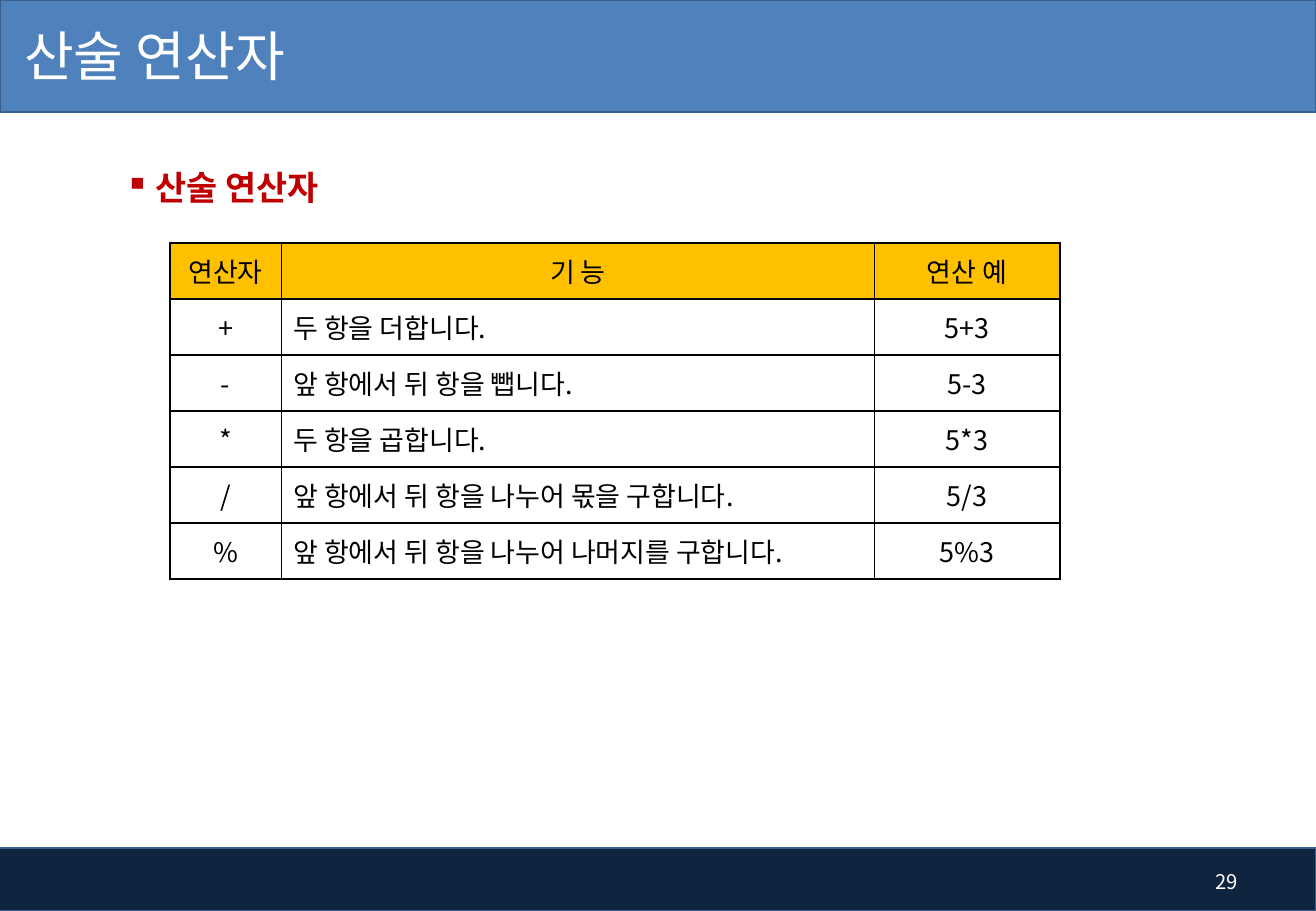
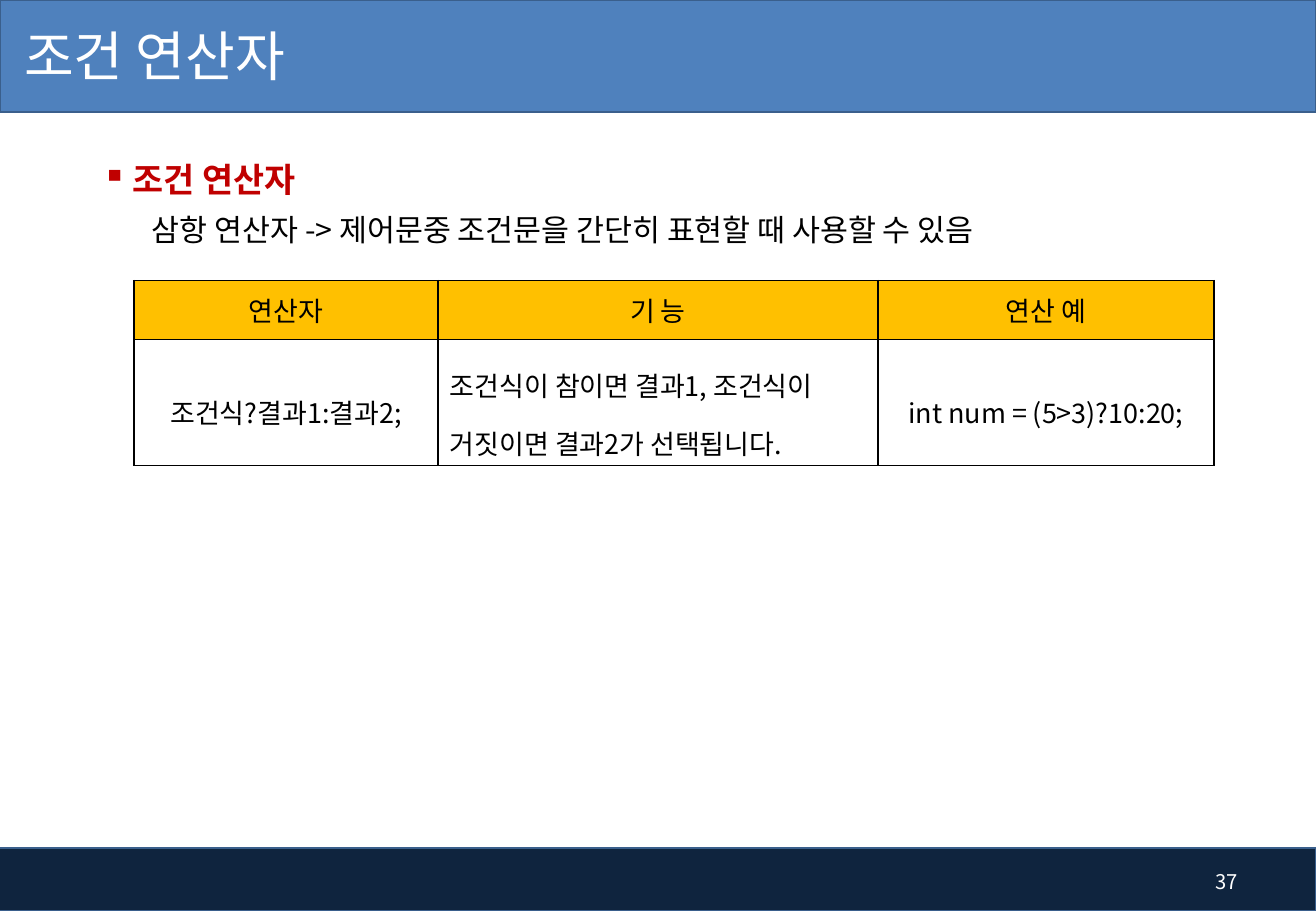
import pptx
import pptx.util
import pptx.dml.color
import pptx.enum.shapes
import pptx.enum.text
import pptx.oxml
import pptx.oxml.ns
from dataclasses import dataclass
from lxml import etree

Pt = pptx.util.Pt
qn = pptx.oxml.ns.qn
ALIGN = pptx.enum.text.PP_ALIGN
MIDDLE = pptx.enum.text.MSO_ANCHOR.MIDDLE
TOP = pptx.enum.text.MSO_ANCHOR.TOP


@dataclass(frozen=True)
class Theme:
    font: str = "Noto Sans CJK KR"
    title_band: str = "4F81BD"
    footer_band: str = "0F243E"
    band_line: str = "3A5F8C"
    light: str = "FFFFFF"
    ink: str = "000000"
    accent: str = "C00000"
    header: str = "FFC000"
    title_size: float = 32
    heading_size: float = 20
    note_size: float = 18
    table_size: float = 16
    number_size: float = 12


T = Theme()
SLIDE_W, SLIDE_H = 780, 540

# Content: boxes are (left, top, width, height) in points
BANDS = [((-3, 502.5, 783, 37.5), T.footer_band), ((0, 0, SLIDE_W, 66.5), T.title_band)]
TITLE_BOX = (0, -1.5, 488, 68)
NUMBER_BOX = (697, 508, 44, 29)
HEADER = ("연산자", "기 능", "연산 예")
COLUMN_ALIGN = (ALIGN.CENTER, ALIGN.LEFT, ALIGN.CENTER)

SLIDES = [
    dict(
        title="산술 연산자", number="29", heading_box=(67, 98, 188, 29),
        table_at=(100.75, 144), cols=(66, 351.5, 110), row_heights=(33.2,) * 6, spacing=1.0,
        rows=[
            ("+", "두 항을 더합니다.", "5+3"),
            ("-", "앞 항에서 뒤 항을 뺍니다.", "5-3"),
            ("*", "두 항을 곱합니다.", "5*3"),
            ("/", "앞 항에서 뒤 항을 나누어 몫을 구합니다.", "5/3"),
            ("%", "앞 항에서 뒤 항을 나누어 나머지를 구합니다.", "5%3"),
        ],
    ),
    dict(
        title="조건 연산자", number="37", heading_box=(53.5, 93, 598, 34.5),
        note="삼항 연산자 -> 제어문중 조건문을 간단히 표현할 때 사용할 수 있음",
        note_box=(42.5, 121.7, 631, 29),
        table_at=(79.5, 166.3), cols=(180, 261, 199), row_heights=(35, 74.5), spacing=1.5,
        rows=[
            ("조건식?결과1:결과2;",
             "조건식이 참이면 결과1, 조건식이 거짓이면 결과2가 선택됩니다.",
             "int num = (5>3)?10:20;"),
        ],
    ),
]


def rgb(value):
    return pptx.dml.color.RGBColor.from_string(value)


def write(tf, text, size, color=T.ink, bold=False, align=ALIGN.LEFT, spacing=1.0, bullet=None):
    p = tf.paragraphs[0]
    if bullet:
        pPr = p._p.get_or_add_pPr()
        pPr.set("marL", str(Pt(18)))
        pPr.set("indent", str(-Pt(18)))
        etree.SubElement(pPr, qn("a:buChar")).set("char", bullet)
    p.alignment = align
    p.line_spacing = spacing
    r = p.add_run()
    r.text = text
    r.font.size, r.font.bold, r.font.name = Pt(size), bold, T.font
    r.font.color.rgb = rgb(color)
    etree.SubElement(r._r.get_or_add_rPr(), qn("a:ea")).set("typeface", T.font)


def add_text(slide, box, text, size, anchor=TOP, inset=7.2, **fmt):
    tf = slide.shapes.add_textbox(*map(Pt, box)).text_frame
    tf.word_wrap = True
    tf.vertical_anchor = anchor
    tf.margin_left = Pt(inset)
    write(tf, text, size, **fmt)


def add_bands(slide):
    """Draw the two bands and move them to the layout, behind its placeholders."""
    for i, (box, color) in enumerate(BANDS):
        sp = slide.shapes.add_shape(pptx.enum.shapes.MSO_SHAPE.RECTANGLE, *map(Pt, box))
        sp.shadow.inherit = False
        sp.fill.solid()
        sp.fill.fore_color.rgb = rgb(color)
        sp.line.color.rgb = rgb(T.band_line)
        sp.line.width = Pt(1)
        sp.element.nvSpPr.cNvPr.id = 20 + i
        slide.slide_layout.shapes.element.insert(2 + i, sp.element)


def set_title(slide, text):
    sp = slide.shapes.title
    sp.left, sp.top, sp.width, sp.height = map(Pt, TITLE_BOX)
    tf = sp.text_frame
    tf.auto_size = pptx.enum.text.MSO_AUTO_SIZE.NONE
    tf.vertical_anchor = MIDDLE
    tf.margin_left = Pt(14.4)
    write(tf, text, T.title_size, color=T.light)


def set_borders(cell):
    tcPr = cell._tc.get_or_add_tcPr()
    for i, side in enumerate(("lnL", "lnR", "lnT", "lnB")):
        ln = etree.Element(qn("a:" + side), w=str(Pt(1)))
        fill = etree.SubElement(ln, qn("a:solidFill"))
        etree.SubElement(fill, qn("a:srgbClr")).set("val", T.ink)
        tcPr.insert(i, ln)


def add_operator_table(slide, data):
    rows = [HEADER] + data["rows"]
    cols, heights = data["cols"], data["row_heights"]
    box = (*data["table_at"], sum(cols), sum(heights))
    table = slide.shapes.add_table(len(rows), len(cols), *map(Pt, box)).table
    table.first_row = table.horz_banding = False
    for column, width in zip(table.columns, cols):
        column.width = Pt(width)
    for i, (row, height, texts) in enumerate(zip(table.rows, heights, rows)):
        row.height = Pt(height)
        for cell, text, align in zip(row.cells, texts, COLUMN_ALIGN):
            cell.vertical_anchor = MIDDLE
            if i == 0:
                cell.fill.solid()
                cell.fill.fore_color.rgb = rgb(T.header)
            else:
                cell.fill.background()
            set_borders(cell)
            write(cell.text_frame, text, T.table_size,
                  align=align if i else ALIGN.CENTER,
                  spacing=data["spacing"] if i else 1.0)


def main():
    prs = pptx.Presentation()
    prs.slide_width, prs.slide_height = Pt(SLIDE_W), Pt(SLIDE_H)
    layout = prs.slide_layouts.get_by_name("Title Only")
    for i, data in enumerate(SLIDES):
        slide = prs.slides.add_slide(layout)
        if i == 0:
            add_bands(slide)
        set_title(slide, data["title"])
        add_text(slide, NUMBER_BOX, data["number"], T.number_size, anchor=MIDDLE,
                 color=T.light, align=ALIGN.RIGHT)
        add_text(slide, data["heading_box"], data["title"], T.heading_size,
                 color=T.accent, bold=True, spacing=0.9, bullet="▪")
        add_operator_table(slide, data)
        if "note" in data:
            add_text(slide, data["note_box"], data["note"], T.note_size, inset=47.5)
    prs.save("out.pptx")


if __name__ == "__main__":
    main()
